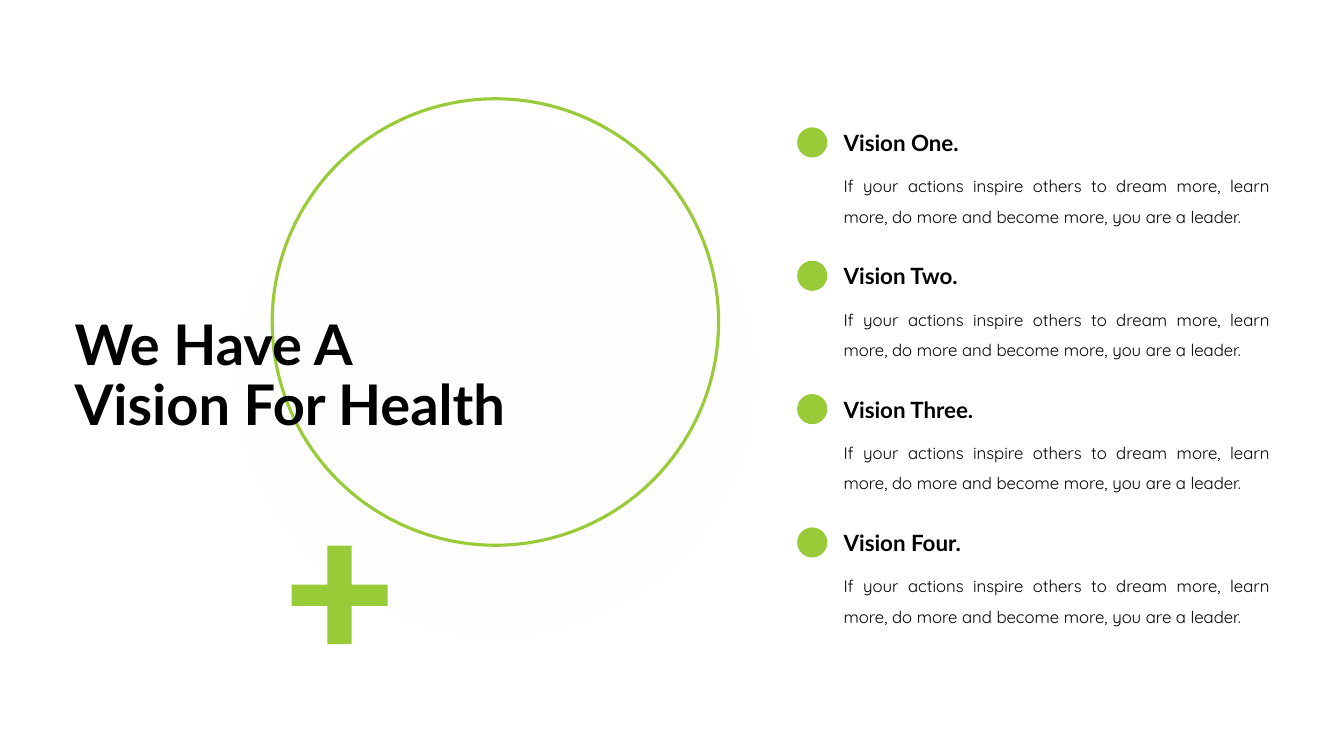
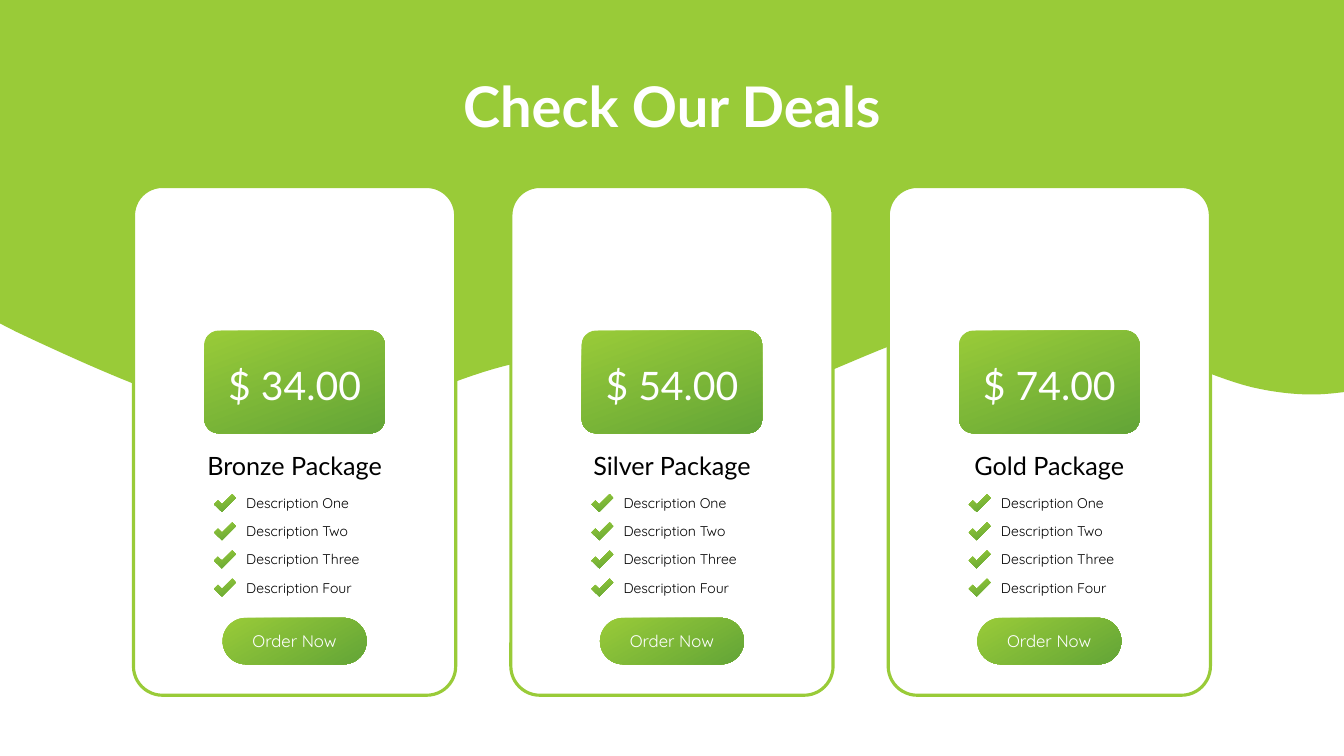
from lxml import etree
from pptx import Presentation
from pptx.dml.color import RGBColor
from pptx.enum.shapes import MSO_SHAPE as Shape
from pptx.enum.text import MSO_ANCHOR as Anchor, PP_ALIGN as Align
from pptx.oxml.ns import qn
from pptx.util import Cm, Pt

# Content
VISION_TITLE = "We Have A\vVision For Health"
VISION_TEXT = ("If your actions inspire others to dream more, learn more, "
               "do more and become more, you are a leader.")
VISIONS = ["Vision One.", "Vision Two.", "Vision Three.", "Vision Four."]
DEALS_TITLE = "Check Our Deals"
DEALS = [
    ("Bronze Package", "$ 34.00"),
    ("Silver Package", "$ 54.00"),
    ("Gold Package", "$ 74.00"),
]
FEATURES = ["Description One", "Description Two", "Description Three", "Description Four"]
BUTTON = "Order Now"

# Shared style
GREEN, DARK_GREEN, WHITE, BLACK = "99CB38", "63A537", "FFFFFF", "000000"
HEAD_FONT, BODY_FONT = "Lato", "Quicksand"
SLIDE_W, SLIDE_H = 33.87, 19.05

# Outlines, in cm
PLUS = [(0.9, 0), (1.51, 0), (1.51, 0.98), (2.42, 0.98), (2.42, 1.52), (1.51, 1.52),
        (1.51, 2.48), (0.9, 2.48), (0.9, 1.52), (0, 1.52), (0, 0.98), (0.9, 0.98)]
TICK = [(0.2, 0.45), (0, 0.26), (0.1, 0.16), (0.2, 0.26), (0.46, 0), (0.55, 0.1)]
WAVE_START = (33.6, 9.91)
WAVE_CURVES = [
    ((33.15, 9.96), (32.54, 9.96), (31.75, 9.8)),
    ((30.18, 9.5), (27.58, 7.9), (25.3, 7.98)),
    ((22.99, 8.05), (19.89, 10.13), (17.96, 10.31)),
    ((16, 10.49), (15.54, 9.02), (13.69, 9.07)),
    ((11.84, 9.12), (9.3, 10.9), (6.86, 10.67)),
    ((5, 10.49), (2.24, 9.22), (0.41, 8.36)),
]


def rgb(value):
    return RGBColor.from_string(value)


def paint(shape, fill=None, line=None, angle=None):
    """Fill with one colour, or with a pair as a gradient at a clockwise angle."""
    shape.shadow.inherit = False
    if fill is None:
        shape.fill.background()
    elif angle is None:
        shape.fill.solid()
        shape.fill.fore_color.rgb = rgb(fill)
    else:
        shape.fill.gradient()
        shape.fill.gradient_angle = 360 - angle
        for stop, colour in zip(shape.fill.gradient_stops, fill):
            stop.color.rgb = rgb(colour)
    if line:
        shape.line.color.rgb = rgb(line)
        shape.line.width = Pt(2.25)
    else:
        shape.line.fill.background()
    return shape


def add_preset(page, kind, left, top, width, height, radius=None, **style):
    shape = page.shapes.add_shape(kind, Cm(left), Cm(top), Cm(width), Cm(height))
    if radius is not None:
        shape.adjustments[0] = radius
    return paint(shape, **style)


def add_outline(page, points, left=0, top=0, **style):
    corners = [(Cm(left + x), Cm(top + y)) for x, y in points]
    builder = page.shapes.build_freeform(*corners[0])
    builder.add_line_segments(corners[1:], close=True)
    return paint(builder.convert_to_shape(), **style)


def write(shape, text, size, colour=BLACK, font=HEAD_FONT, bold=False,
          align=Align.LEFT, anchor=Anchor.TOP, spacing=1.0):
    frame = shape.text_frame
    frame.word_wrap = True
    frame.vertical_anchor = anchor
    para = frame.paragraphs[0]
    para.text = text
    para.alignment = align
    para.line_spacing = spacing
    for span in para.runs:
        span.font.name = font
        span.font.size = Pt(size)
        span.font.bold = bold
        span.font.color.rgb = rgb(colour)


def add_text(page, left, top, width, height, text, size, **style):
    box = page.shapes.add_textbox(Cm(left), Cm(top), Cm(width), Cm(height))
    write(box, text, size, **style)


def add_title(page, left, top, width, text, **style):
    add_text(page, left, top, width, 3.68, text, 40, bold=True,
             anchor=Anchor.MIDDLE, spacing=0.9, **style)


def wave_points(steps=24):
    points = [(0, 0), (SLIDE_W, 0), (SLIDE_W, 9.88), WAVE_START]
    for first, second, end in WAVE_CURVES:
        start = points[-1]
        for step in range(1, steps + 1):
            t = step / steps
            u = 1 - t
            points.append(tuple(
                u**3 * a + 3 * u * u * t * b + 3 * u * t * t * c + t**3 * d
                for a, b, c, d in zip(start, first, second, end)))
    return points + [(0, 8.15)]


def build_vision(page):
    # Faint disc fading out, ring and plus sign
    halo = add_preset(page, Shape.OVAL, 6, 3.03, 12.98, 12.98, fill=(WHITE, WHITE), angle=180)
    last_colour = halo.fill._fill._gradFill.findall(".//" + qn("a:srgbClr"))[-1]
    etree.SubElement(last_colour, qn("a:alpha"), val="70000")
    add_preset(page, Shape.OVAL, 6.86, 2.49, 11.25, 11.25, line=GREEN)
    add_outline(page, PLUS, 7.35, 13.75, fill=GREEN)

    # Vision list
    left, top, step, dot = 21.01, 3.12, 3.36, 0.76
    for index, heading in enumerate(VISIONS):
        y = top + index * step
        add_text(page, left, y, 7.24, 0.94, heading, 16, bold=True, anchor=Anchor.MIDDLE)
        add_text(page, left, y + 0.94, 11.25, 1.78, VISION_TEXT, 12, font=BODY_FONT,
                 align=Align.JUSTIFY, spacing=1.5)
        add_preset(page, Shape.OVAL, left - 0.92, y + 0.09, dot, dot, fill=GREEN)

    add_title(page, 1.63, 7.67, 12.93, VISION_TITLE)


def add_card(page, left, width, name, price):
    shades = (GREEN, DARK_GREEN)

    def centred(item_width):
        return left + (width - item_width) / 2

    add_preset(page, Shape.ROUNDED_RECTANGLE, left, 4.7, width, 12.82,
               radius=0.09, fill=WHITE, line=GREEN)

    # Price, package name and button
    tag = add_preset(page, Shape.ROUNDED_RECTANGLE, centred(4.55), 8.33, 4.55, 2.59,
                     radius=0.14, fill=shades, angle=70)
    tag.text_frame.margin_top = Cm(0.27)
    write(tag, price, 28, colour=WHITE, align=Align.CENTER, anchor=Anchor.MIDDLE)
    add_text(page, centred(6.22), 11.23, 6.22, 1.02, name, 18, align=Align.CENTER)
    button = add_preset(page, Shape.ROUNDED_RECTANGLE, centred(3.63), 15.57, 3.63, 1.17,
                        radius=0.5, fill=shades, angle=60)
    write(button, BUTTON, 12, colour=WHITE, font=BODY_FONT,
          align=Align.CENTER, anchor=Anchor.MIDDLE)

    # Ticked features
    for index, feature in enumerate(FEATURES):
        y = 12.34 + index * 0.71
        add_outline(page, TICK, left + 2.03, y + 0.11, fill=shades, angle=70)
        add_text(page, left + 2.59, y, 3.53, 0.69, feature, 10, font=BODY_FONT)


def build_deals(page):
    add_outline(page, wave_points(), fill=GREEN)
    width, step = 8.12, 9.51
    first = (SLIDE_W - width - step * (len(DEALS) - 1)) / 2
    for index, (name, price) in enumerate(DEALS):
        add_card(page, first + index * step, width, name, price)
    add_title(page, 6.99, 0.91, 19.89, DEALS_TITLE, colour=WHITE, align=Align.CENTER)


def main():
    deck = Presentation()
    deck.slide_width, deck.slide_height = Cm(SLIDE_W), Cm(SLIDE_H)
    for build in (build_vision, build_deals):
        build(deck.slides.add_slide(deck.slide_layouts[6]))
    deck.save("out.pptx")


if __name__ == "__main__":
    main()
